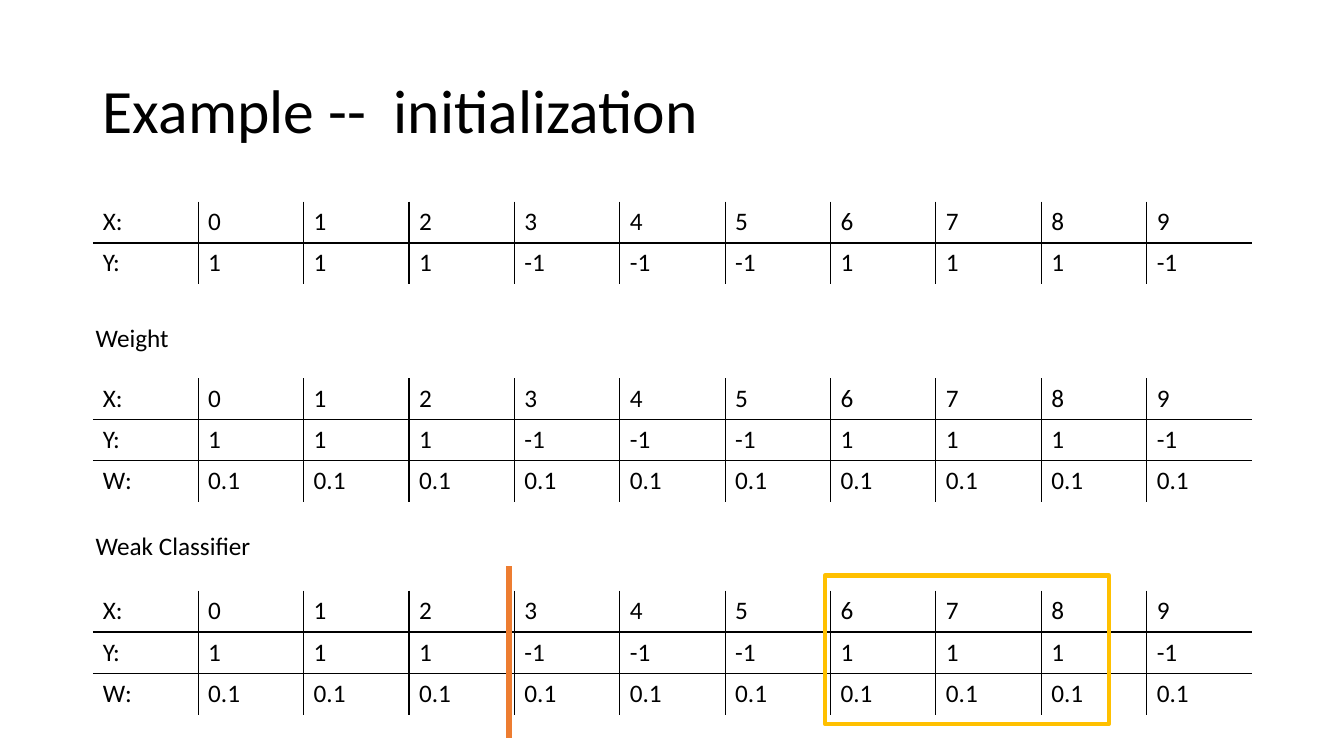
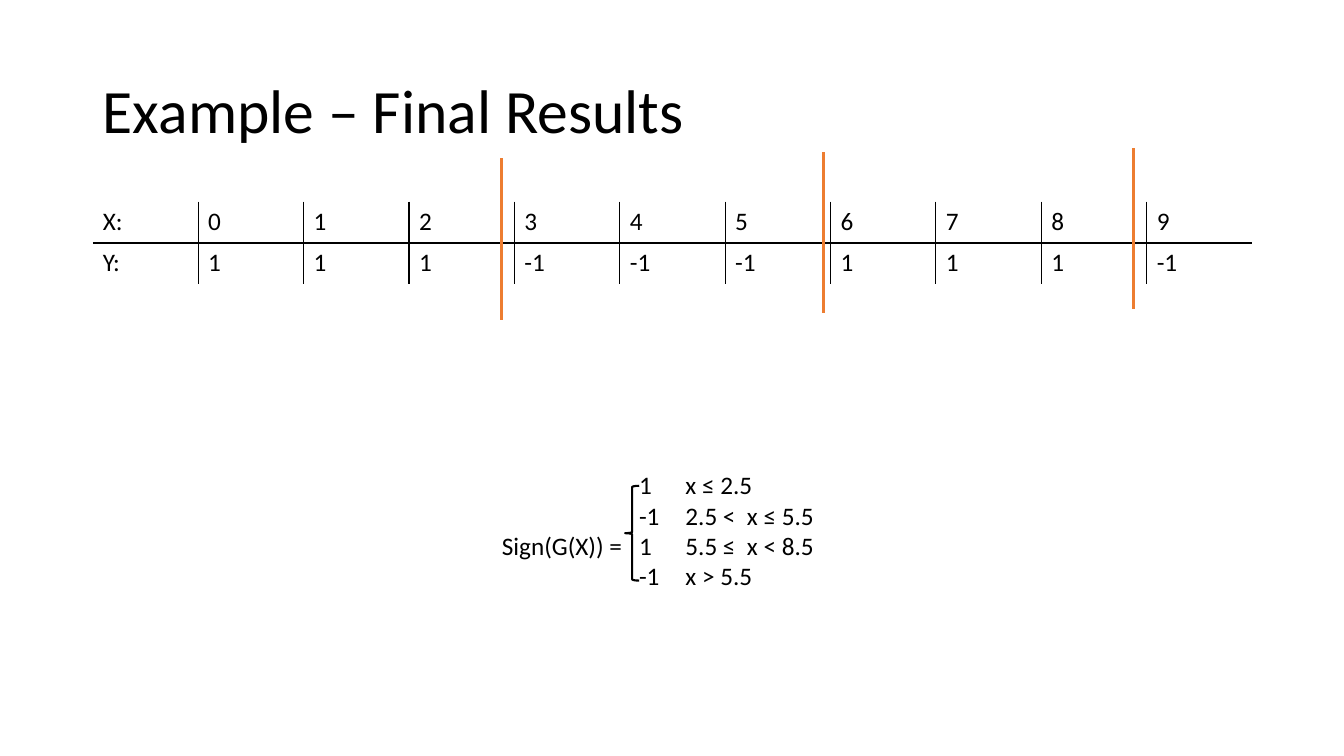
from lxml.etree import SubElement
from pptx import Presentation
from pptx.dml.color import RGBColor
from pptx.enum.shapes import MSO_CONNECTOR, MSO_SHAPE
from pptx.enum.text import MSO_ANCHOR, MSO_AUTO_SIZE, PP_ALIGN
from pptx.oxml.ns import qn
from pptx.util import Inches, Pt

FONT = "Calibri"
BLACK, ORANGE, GOLD = "000000", "ED7D31", "FFC000"
NO_STYLE = "{2D5ABB26-0587-4C30-8999-92F81FD0307C}"
TABLE_LEFT, TABLE_WIDTH, ROW_HEIGHT = 0.92, 11.5, 0.41

X_ROW = ["X:", *map(str, range(10))]
Y_ROW = ["Y:"] + ["1"] * 3 + ["-1"] * 3 + ["1"] * 3 + ["-1"]
W_ROW = ["W:"] + ["0.1"] * 10
SAMPLES = [X_ROW, Y_ROW]
WEIGHTED = SAMPLES + [W_ROW]

SLIDES = [
    {
        "title": "Example --  initialization",
        "tables": [(2, SAMPLES), (3.75, WEIGHTED), (5.86, WEIGHTED)],
        "labels": [("Weight", 3.15, 1.17), ("Weak Classifier", 5.21, 1.75)],
        "thresholds": [(5.05, 5.62, 1.7, 4.5)],
        "outlines": [(MSO_SHAPE.RECTANGLE, (8.18, 5.71, 2.82, 1.47), GOLD, 3)],
        "cases": [],
    },
    {
        "title": "Example – Final Results",
        "tables": [(2, SAMPLES)],
        "labels": [],
        "thresholds": [(4.97, 1.57, 1.6, 2.25), (8.17, 1.51, 1.6, 2.25), (11.24, 1.47, 1.6, 2.25)],
        "outlines": [(MSO_SHAPE.LEFT_BRACE, (6.2, 4.82, 0.14, 0.94), BLACK, 1.5)],
        "cases": [
            ("", "1", "x ≤ 2.5"),
            ("", "-1", "2.5 <  x ≤ 5.5"),
            ("Sign(G(X)) =", "1", "5.5 ≤  x < 8.5"),
            ("", "-1", "x > 5.5"),
        ],
    },
]
CASES_BOX = (4.88, 4.61, 4.57, 1.32)
CASE_TABS = (1.36, 1.82)


def color(value):
    return RGBColor.from_string(value)


def box(*lengths):
    return [Inches(length) for length in lengths]


def format_paragraph(paragraph, size=18):
    paragraph.font.name = FONT
    paragraph.font.size = Pt(size)
    paragraph.font.color.rgb = color(BLACK)


def set_title(slide, text):
    title = slide.shapes.title
    title.left, title.top, title.width, title.height = box(0.92, 0.4, 11.5, 1.45)
    title.text_frame.text = text
    title.text_frame.vertical_anchor = MSO_ANCHOR.MIDDLE
    paragraph = title.text_frame.paragraphs[0]
    paragraph.alignment = PP_ALIGN.LEFT
    paragraph.line_spacing = 0.9
    format_paragraph(paragraph, 44)


def set_borders(cell, visible):
    properties = cell._tc.get_or_add_tcPr()
    for side in "LRTB":
        line = SubElement(properties, qn(f"a:ln{side}"), w=str(Pt(1)))
        if side in visible:
            fill = SubElement(line, qn("a:solidFill"))
            SubElement(fill, qn("a:srgbClr"), val=BLACK)
        else:
            SubElement(line, qn("a:noFill"))


def add_grid(slide, top, rows):
    row_count, column_count = len(rows), len(rows[0])
    frame = slide.shapes.add_table(
        row_count, column_count, *box(TABLE_LEFT, top, TABLE_WIDTH, ROW_HEIGHT * row_count)
    )
    table = frame.table
    table.first_row = table.horz_banding = False
    table._tbl.tblPr.find(qn("a:tableStyleId")).text = NO_STYLE
    for column in table.columns:
        column.width = Inches(TABLE_WIDTH / column_count)
    for row_index, values in enumerate(rows):
        table.rows[row_index].height = Inches(ROW_HEIGHT)
        for column_index, value in enumerate(values):
            cell = table.cell(row_index, column_index)
            cell.text = value
            format_paragraph(cell.text_frame.paragraphs[0])
            inner_sides = {
                "L": column_index > 0,
                "R": column_index < column_count - 1,
                "T": row_index > 0,
                "B": row_index < row_count - 1,
            }
            set_borders(cell, [side for side, inner in inner_sides.items() if inner])
            cell.fill.background()


def add_text(slide, position, lines, tabs=()):
    frame = slide.shapes.add_textbox(*box(*position)).text_frame
    frame.word_wrap = True
    frame.auto_size = MSO_AUTO_SIZE.SHAPE_TO_FIT_TEXT
    frame.text = "\n".join(lines)
    for paragraph in frame.paragraphs:
        if tabs:
            tab_list = SubElement(paragraph._p.get_or_add_pPr(), qn("a:tabLst"))
            for stop in tabs:
                SubElement(tab_list, qn("a:tab"), pos=str(Inches(stop)), algn="l")
        format_paragraph(paragraph)


def add_threshold(slide, x, top, length, width):
    connector = slide.shapes.add_connector(
        MSO_CONNECTOR.STRAIGHT, *box(x, top, x, top + length)
    )
    connector.line.color.rgb = color(ORANGE)
    connector.line.width = Pt(width)
    SubElement(connector._element.spPr, qn("a:effectLst"))


def add_outline(slide, kind, position, line_color, width):
    shape = slide.shapes.add_shape(kind, *box(*position))
    shape.shadow.inherit = False
    shape.fill.background()
    shape.line.color.rgb = color(line_color)
    shape.line.width = Pt(width)


def build_slide(presentation, content):
    slide = presentation.slides.add_slide(presentation.slide_layouts[5])
    set_title(slide, content["title"])
    for top, rows in content["tables"]:
        add_grid(slide, top, rows)
    for text, top, width in content["labels"]:
        add_text(slide, (0.85, top, width, 0.4), [text])
    if content["cases"]:
        add_text(slide, CASES_BOX, ["\t".join(case) for case in content["cases"]], CASE_TABS)
    for threshold in content["thresholds"]:
        add_threshold(slide, *threshold)
    for outline in content["outlines"]:
        add_outline(slide, *outline)


def main():
    presentation = Presentation()
    presentation.slide_width, presentation.slide_height = box(13.33, 7.5)
    for content in SLIDES:
        build_slide(presentation, content)
    presentation.save("out.pptx")


if __name__ == "__main__":
    main()
